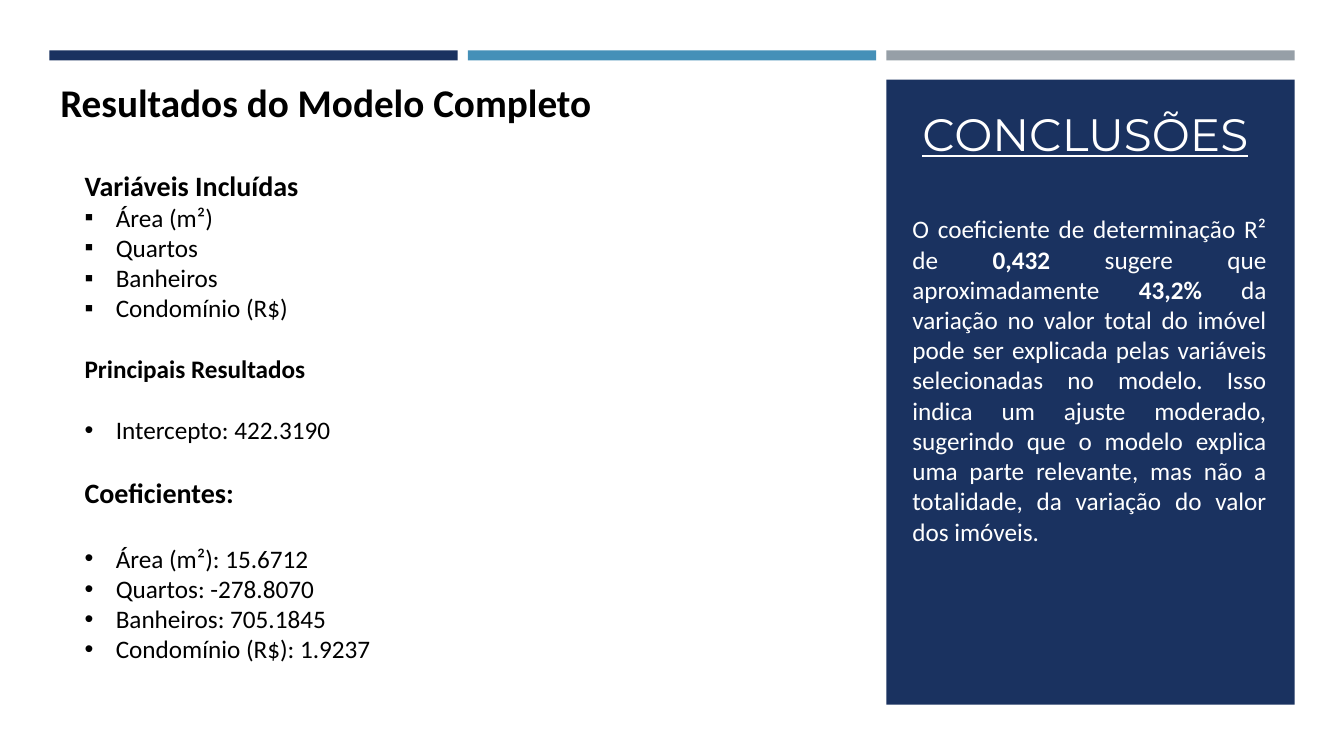
"""Build the slide with the results of the full model and its conclusions."""
from lxml import etree
from pptx import Presentation
from pptx import util as u
from pptx.dml.color import RGBColor
from pptx.enum import shapes, text
from pptx.oxml.ns import qn

NAVY, BLUE, GREY, WHITE, BLACK = "1A3260", "4590B8", "969FA7", "FFFFFF", "000000"
COLUMN_LEFT, COLUMN_WIDTH, COLUMN_STEP = 0.49, 4.05, 4.15
INDENT = u.Inches(0.31)


def add_bar(column, top, height, color):
    bar = slide.shapes.add_shape(
        shapes.MSO_SHAPE.RECTANGLE, u.Inches(COLUMN_LEFT + column * COLUMN_STEP),
        u.Inches(top), u.Inches(COLUMN_WIDTH), u.Inches(height))
    bar.shadow.inherit = False
    bar.fill.solid()
    bar.fill.fore_color.rgb = RGBColor.from_string(color)
    bar.line.fill.background()


def add_text(box, paragraphs, color, font="Calibri"):
    frame = slide.shapes.add_textbox(*[u.Inches(length) for length in box]).text_frame
    frame.word_wrap = True
    for index, (runs, size, bullet, gap) in enumerate(paragraphs):
        paragraph = frame.paragraphs[0] if index == 0 else frame.add_paragraph()
        paragraph.space_before = u.Pt(gap)
        for words, bold in runs:
            run = paragraph.add_run()
            run.text = words
            run.font.name, run.font.size, run.font.bold = font, u.Pt(size), bold
            run.font.color.rgb = RGBColor.from_string(color)
        if bullet:
            properties = paragraph._p.get_or_add_pPr()
            properties.set("marL", str(INDENT))
            properties.set("indent", str(-INDENT))
            etree.SubElement(properties, qn("a:buFont")).set("typeface", "Arial")
            etree.SubElement(properties, qn("a:buChar")).set("char", bullet)
    return frame


presentation = Presentation()
presentation.slide_width, presentation.slide_height = u.Inches(13.33), u.Inches(7.5)
slide = presentation.slides.add_slide(presentation.slide_layouts[6])

add_bar(2, 0.79, 6.2, NAVY)
for column, color in enumerate([NAVY, BLUE, GREY]):
    add_bar(column, 0.5, 0.1, color)

heading = add_text((9.05, 0.79, 3.71, 0.82),
                   [([("CONCLUSÕES", False)], 32.4, None, 0)], WHITE, "Montserrat")
heading.vertical_anchor = text.MSO_ANCHOR.BOTTOM
heading.margin_bottom = u.Inches(0.02)
heading.paragraphs[0].runs[0].font.underline = True

conclusion = [
    ("O coeficiente de determinação R² de ", False),
    ("0,432", True),
    (" sugere que aproximadamente ", False),
    ("43,2%", True),
    (" da variação no valor total do imóvel pode ser explicada pelas variáveis "
     "selecionadas no modelo. Isso indica um ajuste moderado, sugerindo que o modelo "
     "explica uma parte relevante, mas não a totalidade, da variação do valor dos "
     "imóveis.", False),
]
body = add_text((8.95, 2.07, 3.71, 3.43), [(conclusion, 18, None, 0)], WHITE)
body.paragraphs[0].alignment = text.PP_ALIGN.JUSTIFY

add_text((0.5, 0.73, 7.57, 0.57),
         [([("Resultados do Modelo Completo", True)], 28, None, 0)], BLACK)

sections = [
    ("Variáveis Incluídas", 20, "▪", 0,
     ["Área (m²)", "Quartos", "Banheiros", "Condomínio (R$)"]),
    ("Principais Resultados", 18, "•", 22, ["Intercepto: 422.3190"]),
    ("Coeficientes:", 20, "•", 24,
     ["Área (m²): 15.6712", "Quartos: -278.8070", "Banheiros: 705.1845",
      "Condomínio (R$): 1.9237"]),
]
results = []
for title, size, bullet, gap, items in sections:
    results.append(([(title, True)], size, None, 22 if gap else 0))
    for position, item in enumerate(items):
        results.append(([(item, False)], 18, bullet, 0 if position else gap))
add_text((0.74, 1.62, 3.77, 5.05), results, BLACK)

presentation.save("out.pptx")
